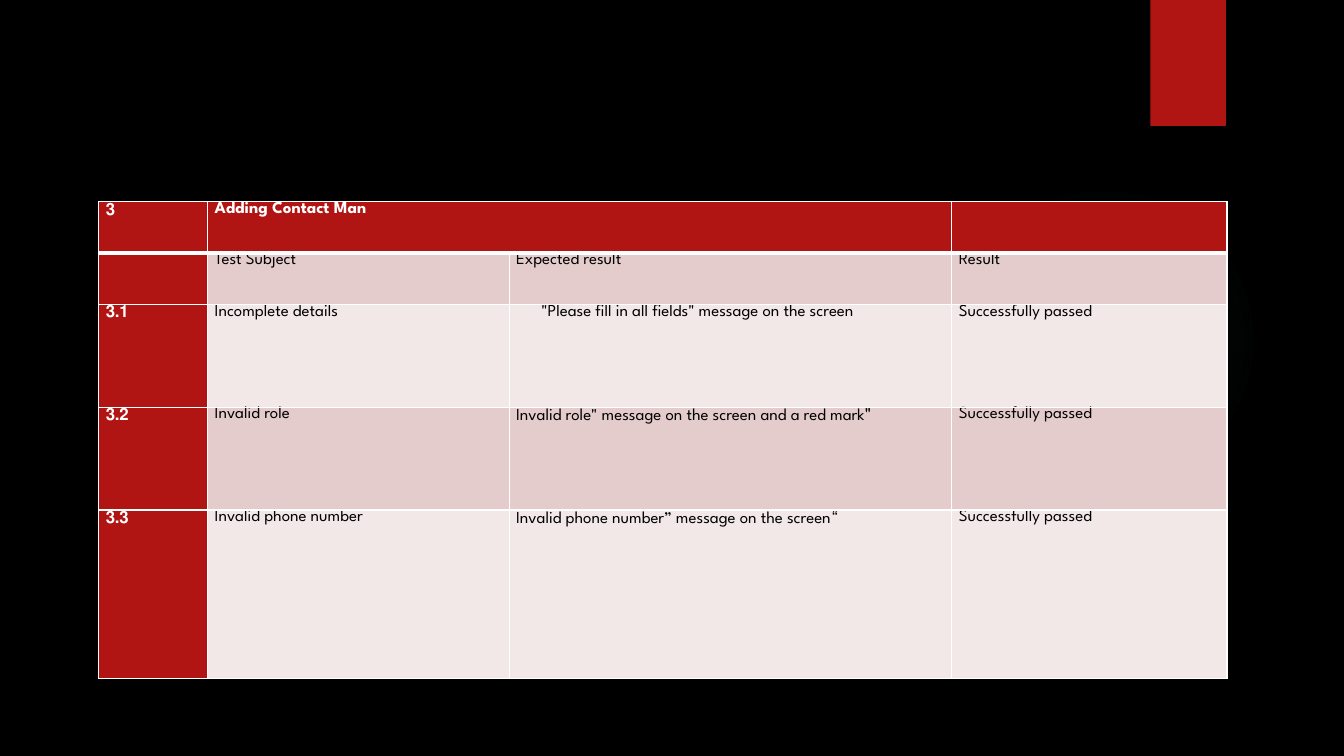
from lxml import etree
from pptx import Presentation
from pptx import util as u
from pptx.dml.color import RGBColor
from pptx.enum import shapes, text
from pptx.oxml import parse_xml
from pptx.oxml.ns import nsdecls, qn

COLORS = {
    "black": "000000",
    "white": "FFFFFF",
    "red": "B01513",
    "dark_band": "E4CCCC",
    "light_band": "F2E8E7",
    "glow": "50B9C1",
}
COLUMNS = [1.08, 2.99, 4.39, 2.73]
ROWS = [0.51, 0.51, 1.02, 1.02, 1.67]
TESTS = [
    ["3", "Adding Contact Man", "", ""],
    ["", "Test Subject", "Expected result", "Result"],
    ["3.1", "Incomplete details",
     '"Please fill in all fields" message on the screen', "Successfully passed"],
    ["3.2", "Invalid role",
     '"Invalid role" message on the screen and a red mark', "Successfully passed"],
    ["3.3", "Invalid phone number",
     "“Invalid phone number” message on the screen", "Successfully passed"],
]
LEFT_TO_RIGHT = {(2, 2)}


class TestSlide:
    """Builds the test results slide in one style."""

    def __init__(self, deck):
        self.font = "League Spartan"
        self.size = u.Pt(12)
        self.page = deck.slides.add_slide(deck.slide_layouts[6])
        self.paint(self.page.background.fill, "black")

    def paint(self, fill, color):
        fill.solid()
        fill.fore_color.rgb = RGBColor.from_string(COLORS[color])

    def shape(self, kind, left, top, width, height):
        box = self.page.shapes.add_shape(
            kind, u.Inches(left), u.Inches(top), u.Inches(width), u.Inches(height))
        box.shadow.inherit = False
        box.line.fill.background()
        return box

    def tab(self, left, top, width, height):
        box = self.shape(shapes.MSO_SHAPE.RECTANGLE, left, top, width, height)
        self.paint(box.fill, "red")

    def glow(self, left, top, size, stops):
        box = self.shape(shapes.MSO_SHAPE.OVAL, left, top, size, size)
        box.fill.background()
        marks = "".join(
            f'<a:gs pos="{place * 1000}"><a:srgbClr val="{COLORS["glow"]}">'
            f'<a:alpha val="{alpha * 1000}"/></a:srgbClr></a:gs>'
            for place, alpha in stops)
        gradient = parse_xml(
            f'<a:gradFill {nsdecls("a")}><a:gsLst>{marks}</a:gsLst><a:path path="circle">'
            '<a:fillToRect l="50000" t="50000" r="50000" b="50000"/></a:path></a:gradFill>')
        properties = box.element.spPr
        properties.replace(properties.find(qn("a:noFill")), gradient)

    def borders(self, cell, header):
        properties = cell._tc.get_or_add_tcPr()
        for side in "LRTB":
            width = u.Pt(3 if header and side == "B" else 1)
            line = etree.SubElement(properties, qn(f"a:ln{side}"), w=str(int(width)))
            fill = etree.SubElement(line, qn("a:solidFill"))
            etree.SubElement(fill, qn("a:srgbClr"), val=COLORS["white"])

    def label(self, cell, words, strong, rtl):
        cell.text_frame.text = words
        paragraph = cell.text_frame.paragraphs[0]
        paragraph.alignment = text.PP_ALIGN.LEFT
        paragraph.space_before = paragraph.space_after = u.Pt(6)
        properties = paragraph._p.get_or_add_pPr()
        properties.set("marL", str(int(u.Inches(0.25))))
        properties.set("indent", "0")
        if rtl:
            properties.set("rtl", "1")
        for span in paragraph.runs:
            span.font.name = self.font
            span.font.size = self.size
            span.font.bold = strong
            span.font.color.rgb = RGBColor.from_string(
                COLORS["white" if strong else "black"])

    def table(self, left, top):
        frame = self.page.shapes.add_table(
            len(ROWS), len(COLUMNS), u.Inches(left), u.Inches(top),
            u.Inches(sum(COLUMNS)), u.Inches(sum(ROWS)))
        table = frame.table
        for column, width in zip(table.columns, COLUMNS):
            column.width = u.Inches(width)
        for row, height in zip(table.rows, ROWS):
            row.height = u.Inches(height)
        table.cell(0, 1).merge(table.cell(0, 2))
        for i, entries in enumerate(TESTS):
            band = "dark_band" if i % 2 else "light_band"
            for j, words in enumerate(entries):
                cell = table.cell(i, j)
                strong = i == 0 or j == 0
                cell.margin_left = cell.margin_right = u.Inches(0.07)
                cell.margin_top = cell.margin_bottom = 0
                self.borders(cell, i == 0)
                self.paint(cell.fill, "red" if strong else band)
                if words:
                    self.label(cell, words, strong, (i, j) not in LEFT_TO_RIGHT)


def main():
    deck = Presentation()
    deck.slide_width, deck.slide_height = u.Inches(13.33), u.Inches(7.5)
    slide = TestSlide(deck)
    slide.glow(9.41, 1.83, 3.08, [(0, 7), (36, 6), (69, 0)])
    slide.tab(11.41, 0, 0.75, 1.25)
    slide.table(0.98, 2)
    deck.save("out.pptx")


if __name__ == "__main__":
    main()
